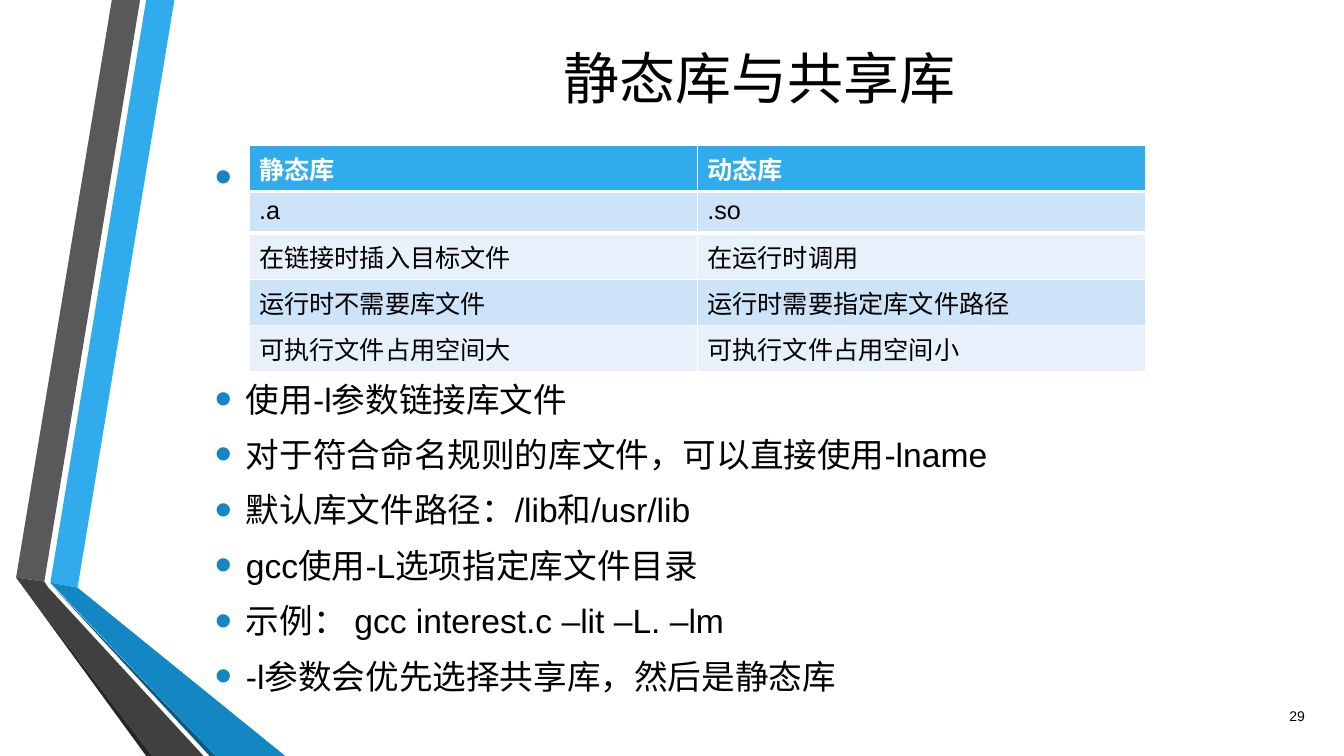
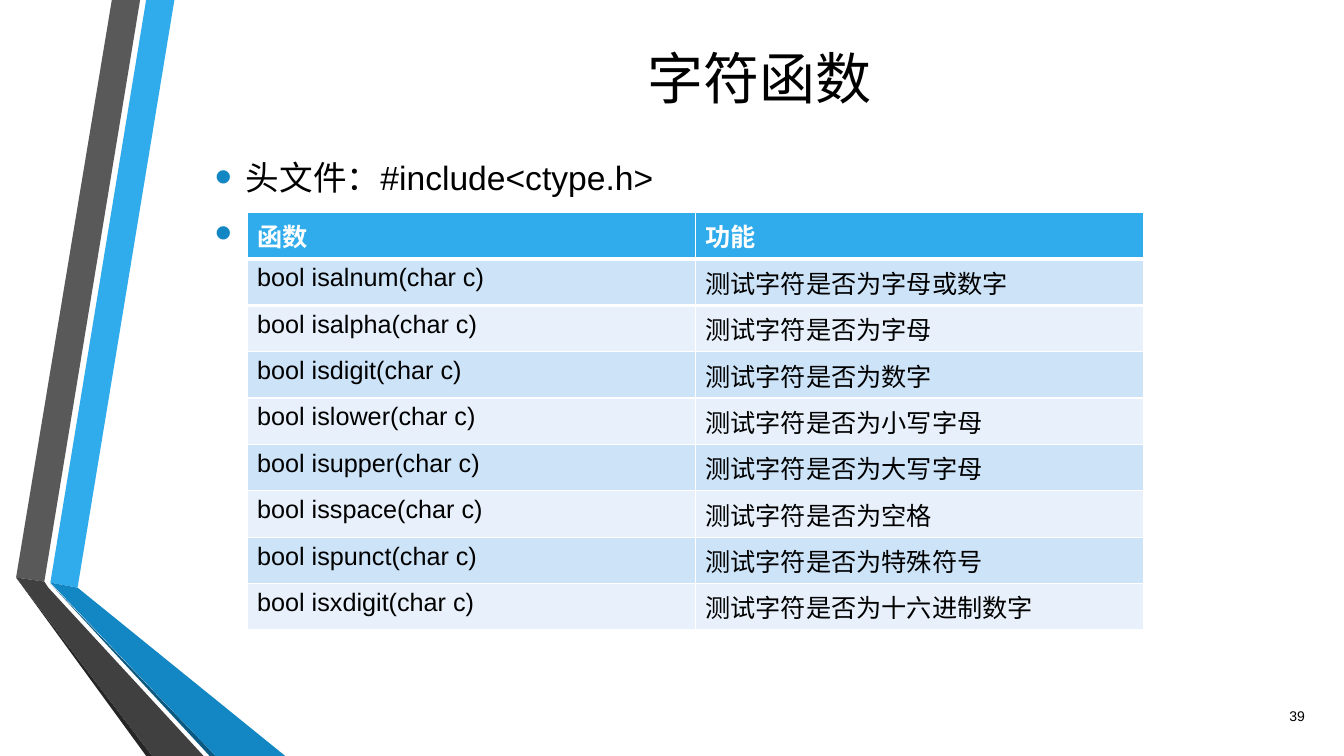
from lxml import etree
from pptx import Presentation, util as u
from pptx.dml.color import RGBColor
from pptx.enum import text
from pptx.oxml.ns import qn

FONT = "Arial"
COLORS = {
    "black": "000000", "white": "FFFFFF", "sky": "30ACEC", "blue": "1287C3",
    "navy": "0C5A82", "grey": "595959", "charcoal": "404040", "ink": "262626",
    "odd row": "CDE3F8", "even row": "E8F1FB",
}
BANDS = [
    ("sky", [(0.5, 5.78), (0.77, 5.83), (1.73, 0), (1.45, 0)]),
    ("grey", [(1.39, 0), (1.11, 0), (0.16, 5.73), (0.44, 5.77)]),
    ("ink", [(0.16, 5.73), (1.45, 7.5), (1.51, 7.5)]),
    ("navy", [(0.5, 5.79), (2.08, 7.5), (2.14, 7.5)]),
    ("blue", [(0.5, 5.78), (2.14, 7.5), (2.83, 7.5), (0.77, 5.83)]),
    ("charcoal", [(2.02, 7.5), (0.48, 5.83), (0.44, 5.77), (0.16, 5.73), (1.51, 7.5)]),
]
TITLE_BOX = (2.02, 0.27, 11.02, 0.98)
BODY_BOX = (2.03, 1.35, 11.02, 5.41)
NUMBER_BOX = (12.44, 6.9, 0.6, 0.4)
LINE_HEIGHT, LINE_GAP = 31.3, 8.3
LINE_PITCH = LINE_HEIGHT + LINE_GAP
LATIN_ROW, CHINESE_ROW = 0.41, 0.46

# A single space keeps the bullet of the line that lies beside the table.
TABLE_LINE = " "

PAGES = [
    {
        "title": "静态库与共享库",
        "number": "29",
        "lines": [
            TABLE_LINE,
            "使用-l参数链接库文件",
            "对于符合命名规则的库文件，可以直接使用-lname",
            "默认库文件路径：/lib和/usr/lib",
            "gcc使用-L选项指定库文件目录",
            "示例： gcc interest.c –lit –L. –lm",
            "-l参数会优先选择共享库，然后是静态库",
        ],
        "lines_beside_table": 3,
        "table_box": (2.47, 1.44, 8.89),
        "rows": [
            ("静态库", "动态库"),
            (".a", ".so"),
            ("在链接时插入目标文件", "在运行时调用"),
            ("运行时不需要库文件", "运行时需要指定库文件路径"),
            ("可执行文件占用空间大", "可执行文件占用空间小"),
        ],
    },
    {
        "title": "字符函数",
        "number": "39",
        "lines": ["头文件：#include<ctype.h>", TABLE_LINE],
        "lines_beside_table": 0,
        "table_box": (2.45, 2.11, 8.89),
        "rows": [
            ("函数", "功能"),
            ("bool isalnum(char c)", "测试字符是否为字母或数字"),
            ("bool isalpha(char c)", "测试字符是否为字母"),
            ("bool isdigit(char c)", "测试字符是否为数字"),
            ("bool islower(char c)", "测试字符是否为小写字母"),
            ("bool isupper(char c)", "测试字符是否为大写字母"),
            ("bool isspace(char c)", "测试字符是否为空格"),
            ("bool ispunct(char c)", "测试字符是否为特殊符号"),
            ("bool isxdigit(char c)", "测试字符是否为十六进制数字"),
        ],
    },
]


def color(name):
    return RGBColor.from_string(COLORS[name])


def place(shape, box):
    shape.left, shape.top, shape.width, shape.height = map(u.Inches, box)


def add_span(para, words, size, ink="black", bold=False):
    span = para.add_run()
    span.text = words
    span.font.name = FONT
    span.font.size = u.Pt(size)
    span.font.bold = bold
    span.font.color.rgb = color(ink)


def add_bullet(para):
    """Give the paragraph a hanging blue dot, larger than its text."""
    props = para._p.get_or_add_pPr()
    props.set("marL", str(u.Inches(0.31)))
    props.set("indent", str(-u.Inches(0.31)))
    tint = etree.SubElement(props, qn("a:buClr"))
    etree.SubElement(tint, qn("a:srgbClr"), val=COLORS["blue"])
    etree.SubElement(props, qn("a:buSzPct"), val="145000")
    etree.SubElement(props, qn("a:buFont"), typeface=FONT)
    etree.SubElement(props, qn("a:buChar"), char="•")


def add_bands(page):
    for name, points in BANDS:
        corners = [(u.Inches(x), u.Inches(y)) for x, y in points]
        builder = page.shapes.build_freeform(*corners[0])
        builder.add_line_segments(corners[1:], close=True)
        band = builder.convert_to_shape()
        band.shadow.inherit = False
        band.fill.solid()
        band.fill.fore_color.rgb = color(name)
        band.line.fill.background()


def fill_title(title, box, words):
    place(title, box)
    frame = title.text_frame
    frame.auto_size = text.MSO_AUTO_SIZE.NONE
    frame.vertical_anchor = text.MSO_ANCHOR.MIDDLE
    para = frame.paragraphs[0]
    para.alignment = text.PP_ALIGN.CENTER
    add_span(para, words, 40)


def fill_body(body, box, lines, lines_beside_table):
    """Write the list, leaving room for the table below its first line."""
    place(body, box)
    frame = body.text_frame
    frame.auto_size = text.MSO_AUTO_SIZE.NONE
    frame.margin_top = u.Inches(0.17)
    for index, words in enumerate(lines):
        para = frame.add_paragraph() if index else frame.paragraphs[0]
        skipped = lines_beside_table if index == 1 else 0
        para.line_spacing = u.Pt(LINE_HEIGHT)
        para.space_before = u.Pt(skipped * LINE_PITCH)
        para.space_after = u.Pt(LINE_GAP)
        add_bullet(para)
        add_span(para, words, 24)


def add_number(page, box, number):
    frame = page.shapes.add_textbox(*map(u.Inches, box)).text_frame
    frame.word_wrap = True
    frame.vertical_anchor = text.MSO_ANCHOR.MIDDLE
    para = frame.paragraphs[0]
    para.alignment = text.PP_ALIGN.RIGHT
    add_span(para, number, 10)


def add_rule(cell, side):
    """Draw a thick white border on one side of the cell."""
    rule = etree.Element(qn(side), w=str(u.Pt(3)))
    paint = etree.SubElement(rule, qn("a:solidFill"))
    etree.SubElement(paint, qn("a:srgbClr"), val=COLORS["white"])
    cell._tc.get_or_add_tcPr().insert(0, rule)


def add_grid(page, box, rows):
    """Add a table with a blue header; its default style draws thin white rules."""
    left, top, width = box
    heights = [LATIN_ROW if "".join(entries).isascii() else CHINESE_ROW for entries in rows]
    area = (left, top, width, sum(heights))
    table = page.shapes.add_table(len(rows), len(rows[0]), *map(u.Inches, area)).table
    for row, entries in enumerate(rows):
        table.rows[row].height = u.Inches(heights[row])
        header = row == 0
        shade = "sky" if header else "odd row" if row % 2 else "even row"
        for column, words in enumerate(entries):
            cell = table.cell(row, column)
            cell.fill.solid()
            cell.fill.fore_color.rgb = color(shade)
            if row < 2:
                add_rule(cell, "a:lnB" if header else "a:lnT")
            add_span(cell.text_frame.paragraphs[0], words, 18,
                     "white" if header else "black", header)


def add_page(deck, content):
    page = deck.slides.add_slide(deck.slide_layouts[1])
    add_bands(page)
    fill_title(page.shapes.title, TITLE_BOX, content["title"])
    fill_body(page.placeholders[1], BODY_BOX, content["lines"], content["lines_beside_table"])
    add_number(page, NUMBER_BOX, content["number"])
    add_grid(page, content["table_box"], content["rows"])


def main():
    deck = Presentation()
    deck.slide_width, deck.slide_height = u.Inches(13.33), u.Inches(7.5)
    for content in PAGES:
        add_page(deck, content)
    deck.save("out.pptx")


if __name__ == "__main__":
    main()
